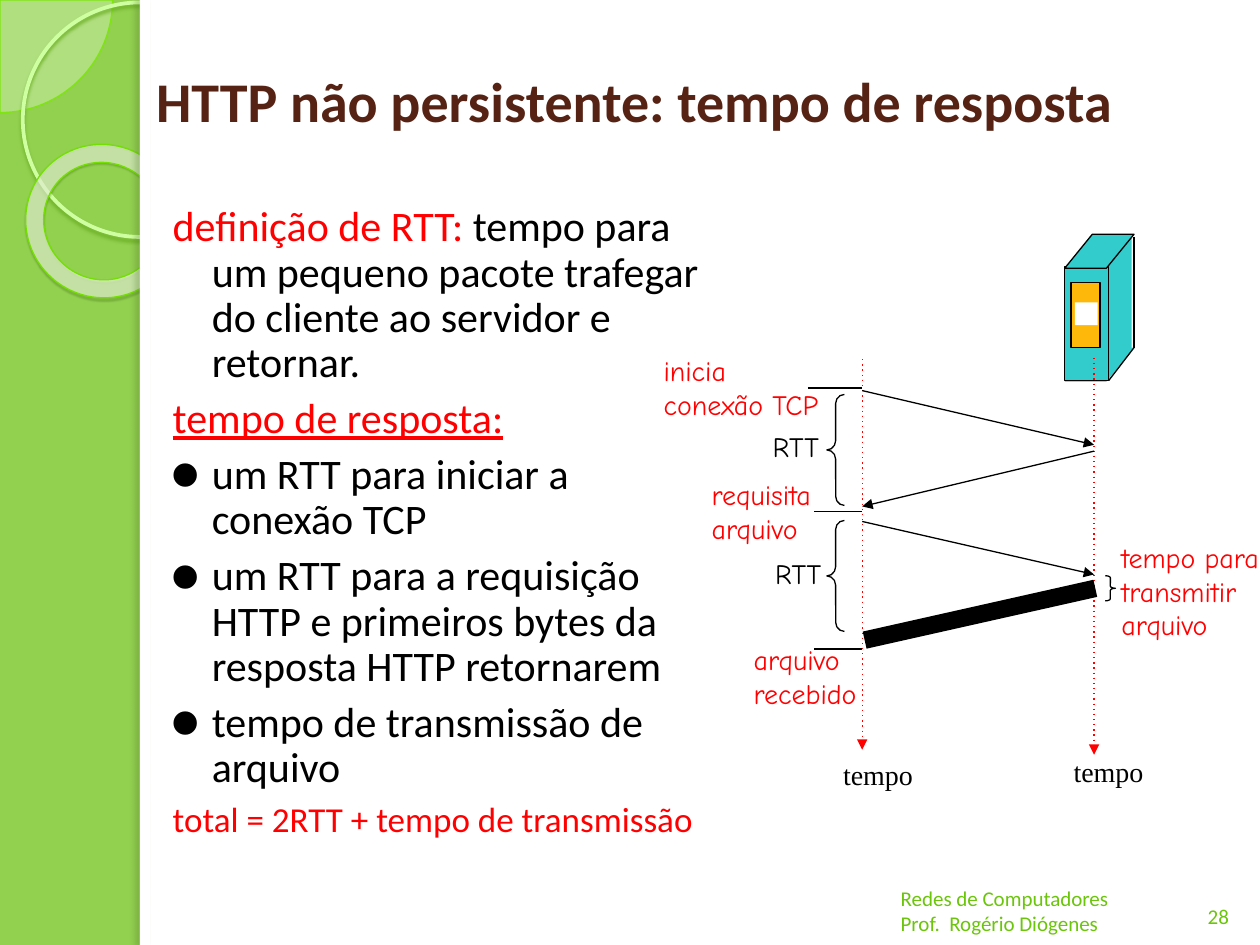
from pptx import Presentation
from pptx.dml import color as dml
from pptx.enum import shapes, text as txt
from pptx.oxml import ns, xmlchemy
from pptx.util import Pt
from lxml import etree

GREEN, FOOTER, TEAL, RED, BLACK = "92D050", "6BC50B", "33CCCC", "FF0000", "000000"
SHAPE = shapes.MSO_SHAPE


def rgb(value):
    return dml.RGBColor.from_string(value)


def add_xml(parent, tag, **attributes):
    return etree.SubElement(parent, ns.qn(tag), attributes)


def add_text(paragraph, content, size=16, font="Calibri", color=BLACK, bold=False, underline=False):
    run = paragraph.add_run()
    run.text = content
    run.font.size, run.font.name = Pt(size), font
    run.font.bold, run.font.underline = bold, underline
    run.font.color.rgb = rgb(color)


def set_frame(frame, anchor=txt.MSO_ANCHOR.TOP):
    frame.word_wrap = True
    frame.auto_size = txt.MSO_AUTO_SIZE.NONE
    frame.vertical_anchor = anchor
    frame.margin_left = frame.margin_right = Pt(7.2)
    frame.margin_top = frame.margin_bottom = Pt(3.6)


def place(shape, box):
    shape.left, shape.top, shape.width, shape.height = map(Pt, box)


def add_label(slide, box, lines, anchor=txt.MSO_ANCHOR.TOP, align=txt.PP_ALIGN.LEFT, **style):
    frame = slide.shapes.add_textbox(*map(Pt, box)).text_frame
    set_frame(frame, anchor)
    for i, line in enumerate(lines):
        paragraph = frame.add_paragraph() if i else frame.paragraphs[0]
        paragraph.alignment = align
        add_text(paragraph, line, **style)


def add_shape(slide, kind, box, fill=None, alpha=100, line=None, width=0.75, adjust=(), shadow=None):
    shape = slide.shapes.add_shape(kind, *map(Pt, box))
    for i, value in enumerate(adjust):
        shape.adjustments[i] = value
    if fill:
        shape.fill.solid()
        shape.fill.fore_color.rgb = rgb(fill)
        if alpha < 100:
            tint = shape._element.spPr.find(ns.qn("a:solidFill"))[0]
            add_xml(tint, "a:alpha", val=str(alpha * 1000))
    else:
        shape.fill.background()
    if line:
        shape.line.color.rgb, shape.line.width = rgb(line), Pt(width)
    else:
        shape.line.fill.background()
    shape.shadow.inherit = False
    if shadow:
        tone, opacity, blur, distance, angle = shadow
        effects = shape._element.spPr.find(ns.qn("a:effectLst"))
        outer = add_xml(effects, "a:outerShdw", blurRad=str(Pt(blur)), dist=str(Pt(distance)),
                        dir=str(angle * 60000), algn="ctr", rotWithShape="0")
        add_xml(add_xml(outer, "a:srgbClr", val=tone), "a:alpha", val=str(opacity * 1000))
    return shape


def add_line(slide, start, end, color=BLACK, width=0.75, dotted=False, arrow=False):
    connector = slide.shapes.add_connector(shapes.MSO_CONNECTOR.STRAIGHT, *map(Pt, (*start, *end)))
    connector.line.color.rgb, connector.line.width = rgb(color), Pt(width)
    properties = connector._element.spPr
    outline = properties.find(ns.qn("a:ln"))
    if dotted:
        add_xml(outline, "a:prstDash", val="dot")
    if arrow:
        add_xml(outline, "a:tailEnd", type="triangle")
    add_xml(properties, "a:effectLst")


def build_sidebar(slide, box):
    x, y, width, height = box
    # Ornaments on the green band
    add_shape(slide, SHAPE.PIE, (x - 64.3, y - 64.3, 128.6, 128.6), "EEFEE3", 33, "7EE60E", adjust=(0, 54))
    add_shape(slide, SHAPE.OVAL, (x + 13, y + 1.4, 134, 134), line="CEFFA0", width=2.15,
              shadow=("6AAE22", 85, 2, 2, 90))
    ring = add_shape(slide, SHAPE.DONUT, (x + 14.4, y + 82.8, 88.6, 87.1), "FAFFF1", 57, "74E002",
                     adjust=(0.118,), shadow=("335F05", 35, 1, 1.2, 75))
    ring.rotation = 38.6
    # White page and its shaded edge
    add_shape(slide, SHAPE.RECTANGLE, (x + width, y, 720 - x - width, height), "FFFFFF")
    add_shape(slide, SHAPE.RECTANGLE, (x + width, y, 5.8, height), "FFFFFF",
              shadow=("466722", 25, 3, 3, 180))


def build_title(slide, box):
    title = slide.shapes.title
    slide.shapes._spTree.append(title._element)
    place(title, box)
    set_frame(title.text_frame, txt.MSO_ANCHOR.MIDDLE)
    paragraph = title.text_frame.paragraphs[0]
    paragraph.alignment = txt.PP_ALIGN.LEFT
    add_text(paragraph, "HTTP não persistente: tempo de resposta", size=32, color="562214", bold=True)


def build_definitions(slide, box):
    body = slide.placeholders[1]
    slide.shapes._spTree.append(body._element)
    place(body, box)
    set_frame(body.text_frame)
    # Each item: bulleted or not, then its runs with their format
    items = [
        (False, [("definição de RTT:", {"color": RED}),
                 (" tempo para um pequeno pacote trafegar do cliente ao servidor e retornar.", {})]),
        (False, [("tempo de resposta:", {"color": RED, "underline": True})]),
        (True, [("um RTT para iniciar a conexão TCP", {})]),
        (True, [("um RTT para a requisição HTTP e primeiros bytes da resposta HTTP retornarem", {})]),
        (True, [("tempo de transmissão de arquivo", {})]),
        (False, [("total = 2RTT + tempo de transmissão", {"color": RED, "size": 20})]),
    ]
    for i, (bulleted, runs) in enumerate(items):
        paragraph = body.text_frame.add_paragraph() if i else body.text_frame.paragraphs[0]
        paragraph.line_spacing = 0.9
        paragraph.space_before = Pt(6 if i else 0)
        properties = paragraph._p.get_or_add_pPr()
        properties.set("marL", str(Pt(28.8)))
        properties.set("indent", str(Pt(-22.3)))
        if bulleted:
            add_xml(add_xml(properties, "a:buClr"), "a:srgbClr", val=BLACK)
            add_xml(properties, "a:buChar", char="⚫")
        else:
            add_xml(properties, "a:buNone")
        for content, style in runs:
            add_text(paragraph, content, **{"size": 24, **style})


def build_server(slide, box):
    x, y, width, height = box
    front, slope, tall = 25.2, 19.4, 64.8
    # Case: base, side, front and top
    add_shape(slide, SHAPE.PARALLELOGRAM, (x, y + tall, width, slope), TEAL, adjust=(0.814,))
    add_shape(slide, SHAPE.RECTANGLE, (x + 20.2, y + 0.7, 18, tall), TEAL)
    add_shape(slide, SHAPE.RECTANGLE, (x, y + 18.7, front, tall), TEAL, line=BLACK)
    add_shape(slide, SHAPE.PARALLELOGRAM, (x, y, width, slope), TEAL, line=BLACK, adjust=(0.814,))
    add_line(slide, (x + width, y + 1.4), (x + width, y + tall))
    add_line(slide, (x + width, y + tall), (x + front, y + height))
    # Front panel
    add_shape(slide, SHAPE.RECTANGLE, (x + 3.6, y + 27.4, 16.6, 37.4), "FEB80A", line=BLACK)
    add_shape(slide, SHAPE.RECTANGLE, (x + 5.8, y + 38.9, 13, 13), "FFFFFF")


def build_timing(slide, box):
    x, y, width, _ = box
    client, server = x + 120.5, x + 253
    # Time axes
    for axis, start, end in [(client, 7.2, 230.4), (server, 6.5, 233.3)]:
        add_line(slide, (axis, y + start), (axis, y + end), RED, dotted=True, arrow=True)
    # Messages, then the file transfer
    for origin, start, target, end in [(client, 25.2, server, 56.2), (server, 59.8, client, 91.4),
                                       (client, 100, server, 130.3)]:
        add_line(slide, (origin, y + start), (target, y + end), arrow=True)
    add_line(slide, (server + 0.7, y + 138.2), (client + 1.4, y + 167.8), width=10)
    # Event ticks on the client axis
    for left, level in [(89.5, 23.8), (93, 94.3), (93, 172.8)]:
        add_line(slide, (x + left, y + level), (client, y + level))
    # Braces
    for top in (27.4, 99.4):
        add_shape(slide, SHAPE.LEFT_BRACE, (x + 100.3, y + top, 10, 63.4), line=BLACK, adjust=(0.521, 0.5))
    add_shape(slide, SHAPE.RIGHT_BRACE, (x + 259.4, y + 131, 5.8, 14.4), line=BLACK, adjust=(0.204, 0.5))
    # Labels
    comic, serif = "Comic Neue", "Times New Roman"
    labels = [
        (261.6, 107.3, 94, ["tempo para", "transmitir", "arquivo"], comic, RED),
        (0, 0.7, 108, ["inicia", "conexão TCP"], comic, RED),
        (62.2, 43.9, 46, ["RTT"], comic, BLACK),
        (27.4, 71.3, 86.4, ["requisita", "arquivo"], comic, RED),
        (63.6, 116.6, 46, ["RTT"], comic, BLACK),
        (51.4, 165.6, 80, ["arquivo", "recebido"], comic, RED),
        (102.5, 231.1, 58, ["tempo"], serif, BLACK),
        (234.2, 229.7, 58, ["tempo"], serif, BLACK),
    ]
    for left, top, wide, lines, font, color in labels:
        add_label(slide, (x + left, y + top, wide, 7.2 + 19.4 * len(lines)), lines, font=font, color=color)


def build_footer(slide, box):
    x, y, width, height = box
    style = {"size": 12, "color": FOOTER, "anchor": txt.MSO_ANCHOR.BOTTOM}
    add_label(slide, (x + 170.6, y - 4.3, 36, height), ["28"], align=txt.PP_ALIGN.CENTER, **style)
    add_label(slide, (x, y, width, height), ["Redes de Computadores", "Prof.  Rogério Diógenes"], **style)


def main():
    deck = Presentation()
    deck.slide_width, deck.slide_height = Pt(720), Pt(540)
    slide = deck.slides.add_slide(deck.slide_layouts[1])
    slide.background.fill.solid()
    slide.background.fill.fore_color.rgb = rgb(GREEN)
    build_sidebar(slide, (0, 0, 80, 540))
    build_title(slide, (82, 12.2, 626.4, 90))
    build_footer(slide, (507.6, 501.1, 198.7, 37.4))
    build_definitions(slide, (85, 113.8, 330.5, 403.9))
    build_server(slide, (608.4, 133.9, 39.6, 83.5))
    build_timing(slide, (372.2, 198, 347.8, 260))
    deck.save("out.pptx")


if __name__ == "__main__":
    main()
